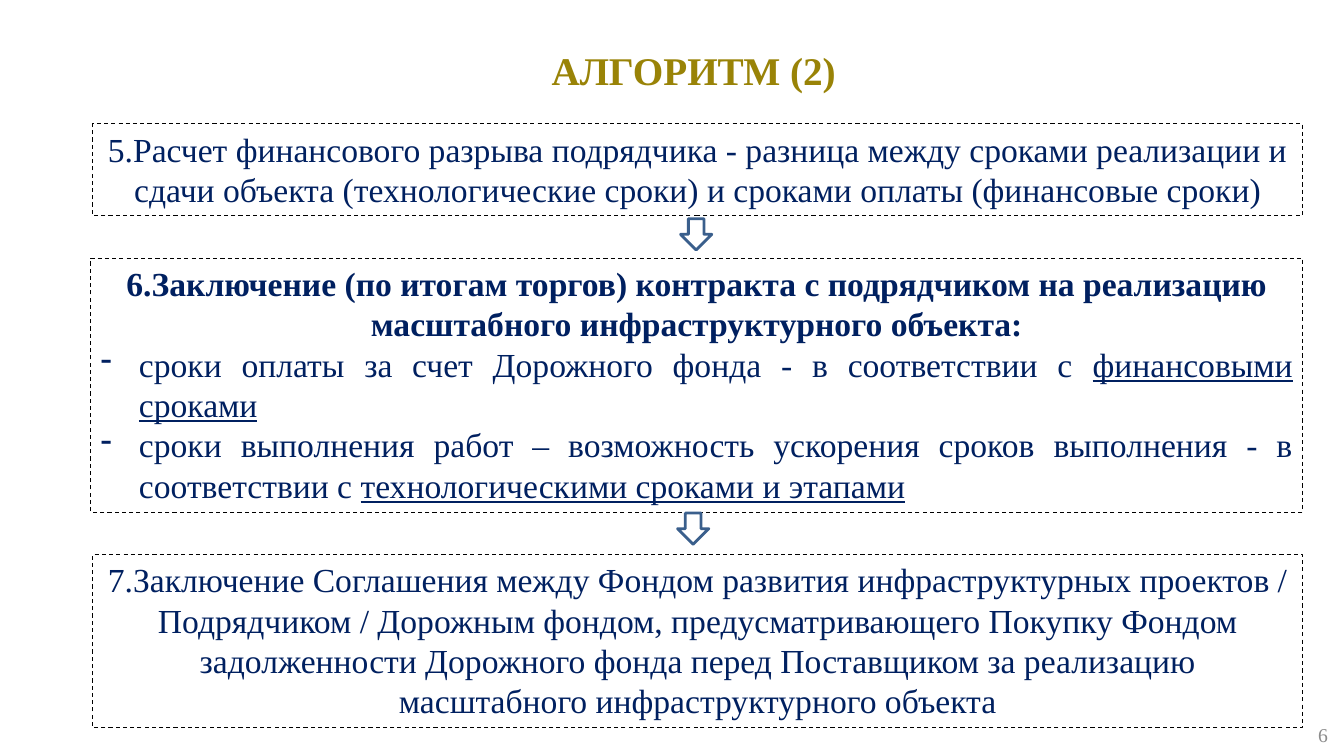
from pptx import Presentation
from pptx.dml.color import RGBColor
from pptx.enum.dml import MSO_LINE
from pptx.enum.shapes import MSO_SHAPE
from pptx.enum.text import MSO_ANCHOR, PP_ALIGN as AL
from pptx.oxml.ns import qn
from pptx.util import Inches, Pt
from lxml.etree import SubElement

FONT = "Times New Roman"
COLORS = {
    "title": "998307",
    "text": "002060",
    "number": "8C8C8C",
    "border": "000000",
    "arrow": "3A5F8C",
    "white": "FFFFFF",
}


def rgb(name):
    return RGBColor.from_string(COLORS[name])


def add_run(p, text, size=24, color="text", bold=False, underline=False):
    r = p.add_run()
    r.text = text
    r.font.name = FONT
    r.font.size = Pt(size)
    r.font.color.rgb = rgb(color)
    r.font.bold = bold
    r.font.underline = underline


def add_text(s, box, text, align=AL.CENTER, anchor=MSO_ANCHOR.TOP, **fmt):
    sp = s.shapes.add_textbox(*map(Inches, box))
    tf = sp.text_frame
    tf.word_wrap = True
    tf.vertical_anchor = anchor
    p = tf.paragraphs[0]
    p.alignment = align
    add_run(p, text, **fmt)
    return sp


def add_step(s, box, text, **fmt):
    sp = add_text(s, box, text, **fmt)
    sp.line.color.rgb = rgb("border")
    sp.line.width = Pt(0.75)
    sp.line.dash_style = MSO_LINE.DASH
    return sp.text_frame


def add_bullet(tf, text, underlined):
    p = tf.add_paragraph()
    p.alignment = AL.JUSTIFY
    pPr = p._p.get_or_add_pPr()
    pPr.set("marL", str(Inches(0.38)))
    pPr.set("indent", str(-Inches(0.38)))
    SubElement(pPr, qn("a:buFontTx"))
    SubElement(pPr, qn("a:buChar")).set("char", "-")
    add_run(p, text)
    add_run(p, underlined, underline=True)


def add_arrow(s, left, top, size=0.31):
    sp = s.shapes.add_shape(MSO_SHAPE.DOWN_ARROW, *map(Inches, (left, top, size, size)))
    sp.shadow.inherit = False
    sp.fill.solid()
    sp.fill.fore_color.rgb = rgb("white")
    sp.line.color.rgb = rgb("arrow")
    sp.line.width = Pt(2)


def main():
    prs = Presentation()
    prs.slide_width, prs.slide_height = Inches(13.33), Inches(7.5)
    s = prs.slides.add_slide(prs.slide_layouts[6])

    add_text(s, (1.35, 0.41, 11.06, 0.57), "АЛГОРИТМ (2)",
             size=28, color="title", bold=True)

    add_step(s, (0.92, 1.23, 12, 0.91),
             "5.Расчет финансового разрыва подрядчика - разница между сроками "
             "реализации и сдачи объекта (технологические сроки) и сроками оплаты "
             "(финансовые сроки)")
    add_arrow(s, 6.75, 2.17)

    tf = add_step(s, (0.9, 2.56, 12.02, 2.52),
                  "6.Заключение (по итогам торгов) контракта с подрядчиком на "
                  "реализацию масштабного инфраструктурного объекта:", bold=True)
    add_bullet(tf, "сроки оплаты за счет Дорожного фонда - в соответствии с ",
               "финансовыми сроками")
    add_bullet(tf, "сроки выполнения работ – возможность ускорения сроков "
               "выполнения - в соответствии с ", "технологическими сроками и этапами")
    add_arrow(s, 6.72, 5.09)

    add_step(s, (0.92, 5.5, 12, 1.72),
             "7.Заключение Соглашения между Фондом развития инфраструктурных "
             "проектов / Подрядчиком / Дорожным фондом, предусматривающего Покупку "
             "Фондом задолженности Дорожного фонда перед Поставщиком за реализацию "
             "масштабного инфраструктурного объекта")

    add_text(s, (10.16, 7.09, 3.11, 0.4), "6", align=AL.RIGHT,
             anchor=MSO_ANCHOR.MIDDLE, size=14, color="number")
    prs.save("out.pptx")


if __name__ == "__main__":
    main()
